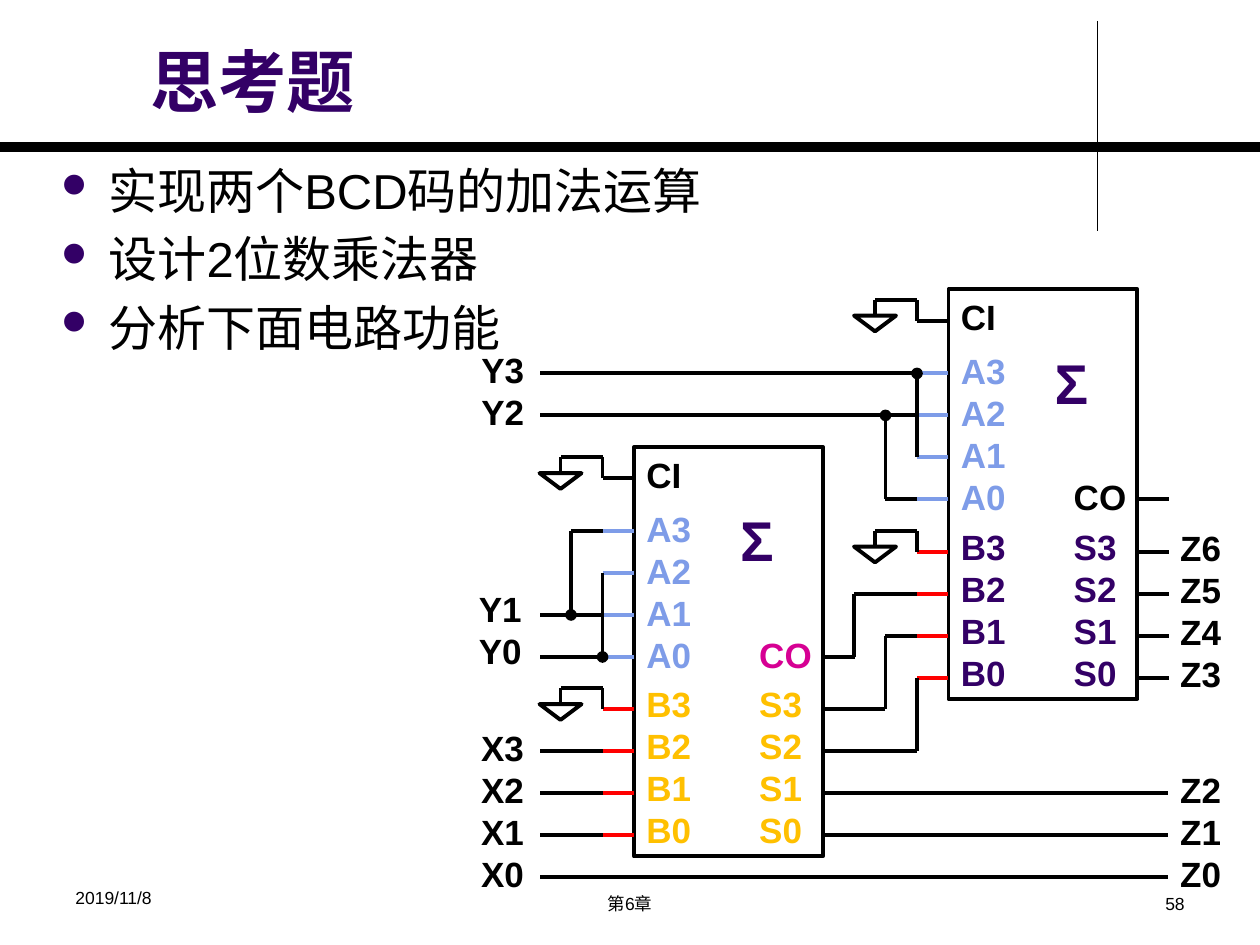
import dataclasses
import itertools

import pptx
import pptx.dml.color
import pptx.enum.shapes
import pptx.enum.text
import pptx.oxml
import pptx.oxml.ns
import pptx.util

Pt = pptx.util.Pt
ALIGN = pptx.enum.text.PP_ALIGN
ANCHOR = pptx.enum.text.MSO_ANCHOR
SHAPE = pptx.enum.shapes.MSO_SHAPE


@dataclasses.dataclass(frozen=True)
class Theme:
    font: str = "Arial"
    black: str = "000000"
    purple: str = "330066"
    blue: str = "7E9CE8"
    red: str = "FF0000"
    amber: str = "FFC000"
    magenta: str = "D60093"
    title: int = 39
    body: int = 28
    sigma: int = 32
    label: int = 20
    footer: int = 10
    wire: float = 2.25


THEME = Theme()


def rgb(value):
    return pptx.dml.color.RGBColor.from_string(value)


def add_xml(parent, tag, **attributes):
    element = pptx.oxml.parse_xml(f"<a:{tag} {pptx.oxml.ns.nsdecls('a')}/>")
    for name, value in attributes.items():
        element.set(name, str(value))
    parent.append(element)
    return element


def write_text(frame, lines, size, color=THEME.black, bold=False, wrap=True,
               align=ALIGN.LEFT, anchor=ANCHOR.TOP, pitch=None, before=None):
    """Each line is a string or a list of (text, color) spans."""
    frame.word_wrap = wrap
    frame.vertical_anchor = anchor
    for index, line in enumerate(lines):
        para = frame.paragraphs[0] if index == 0 else frame.add_paragraph()
        para.alignment = align
        if pitch:
            para.line_spacing = Pt(pitch)
        if before and before[index]:
            para.space_before = Pt(before[index])
        for text, span_color in ([(line, color)] if isinstance(line, str) else line):
            span = para.add_run()
            span.text = text
            span.font.name = THEME.font
            span.font.size = Pt(size)
            span.font.bold = bold
            span.font.color.rgb = rgb(span_color)
    return frame.paragraphs


class Page:
    def __init__(self, deck, theme):
        self.theme = theme
        self.slide = deck.slides.add_slide(deck.slide_layouts[5])

    def title(self, text, left, top, width, height):
        box = self.slide.shapes.title
        box.left, box.top, box.width, box.height = map(Pt, (left, top, width, height))
        write_text(box.text_frame, [text], size=self.theme.title, bold=True,
                   color=self.theme.purple, anchor=ANCHOR.BOTTOM)

    def text(self, lines, left, top, width, height, **style):
        box = self.slide.shapes.add_textbox(*map(Pt, (left, top, width, height)))
        return write_text(box.text_frame, lines, **style)

    def bullets(self, lines, left, top, width, height):
        for para in self.text(lines, left, top, width, height,
                              size=self.theme.body, before=[5.6] * len(lines)):
            props = para._p.get_or_add_pPr()
            props.set("marL", str(Pt(27)))
            props.set("indent", str(Pt(-27)))
            add_xml(add_xml(props, "buClr"), "srgbClr", val=self.theme.purple)
            add_xml(props, "buSzPct", val=70000)
            # In this symbol font the letter l is a round dot
            add_xml(props, "buFont", typeface="Wingdings", charset=2)
            add_xml(props, "buChar", char="l")

    def labels(self, lines, left, top):
        self.text(lines, left, top, 40, 24 * len(lines) + 7.2,
                  size=self.theme.label, bold=True, wrap=False, pitch=24)

    def outline(self, kind, left, top, width, height):
        shape = self.slide.shapes.add_shape(kind, *map(Pt, (left, top, width, height)))
        shape.shadow.inherit = False
        shape.fill.background()
        shape.line.color.rgb = rgb(self.theme.black)
        shape.line.width = Pt(self.theme.wire)
        return shape

    def wire(self, *points, color=THEME.black, width=THEME.wire, dot=False):
        """Joins the points with straight lines; dot marks the first point."""
        for index, (start, end) in enumerate(itertools.pairwise(points)):
            line = self.slide.shapes.add_connector(
                pptx.enum.shapes.MSO_CONNECTOR.STRAIGHT, *map(Pt, start + end))
            line.line.color.rgb = rgb(color)
            line.line.width = Pt(width)
            if dot and index == 0:
                add_xml(line.line._get_or_add_ln(), "headEnd", type="oval")
            add_xml(line._element.spPr, "effectLst")

    def ground(self, x, y):
        self.wire((x, y), (x, y - 12), (x - 24, y - 12), (x - 24, y - 3))
        symbol = self.outline(SHAPE.ISOSCELES_TRIANGLE, x - 36, y - 3, 24, 9)
        symbol._element.spPr.find(pptx.oxml.ns.qn("a:xfrm")).set("flipV", "1")

    def adder(self, left, top, sum_color, carry_color):
        """Four-bit adder; returns the height of each pin."""
        theme = self.theme
        offsets = {"CI": 18}
        offsets.update({f"A{bit}": 120 - 24 * bit for bit in range(4)})
        offsets.update({f"B{bit}": 222 - 24 * bit for bit in range(4)})
        pin_colors = {"C": theme.black, "A": theme.blue, "B": theme.red}
        rows = [[("CI", theme.black)]]
        rows += [[(f"A{bit}", theme.blue)] for bit in (3, 2, 1, 0)]
        rows[-1].append(("\tCO", carry_color))
        rows += [[(f"B{bit}\tS{bit}", sum_color)] for bit in (3, 2, 1, 0)]
        body = self.outline(SHAPE.RECTANGLE, left, top, 108, 234)
        body.text_frame.margin_right = 0
        paras = write_text(body.text_frame, rows, size=theme.label, bold=True,
                           pitch=24, before=[0, 7, 0, 0, 0, 4, 0, 0, 0])
        for para in paras:
            stops = add_xml(para._p.get_or_add_pPr(), "tabLst")
            add_xml(stops, "tab", pos=Pt(64.5), algn="l")
        self.text(["Σ"], left + 53.6, top + 30, 33, 45, size=theme.sigma,
                  color=theme.purple, bold=True, wrap=False)
        pins = {name: top + offset for name, offset in offsets.items()}
        for name, y in pins.items():
            self.wire((left, y), (left - 18, y), color=pin_colors[name[0]])
            if name in ("A0", "B0", "B1", "B2", "B3"):
                self.wire((left + 108, y), (left + 126, y))
        for name in ("CI", "B3"):
            self.ground(left - 18, pins[name])
        return pins


def main():
    deck = pptx.Presentation()
    deck.slide_width, deck.slide_height = Pt(720), Pt(540)
    page = Page(deck, THEME)

    # Rules, title and questions
    page.wire((627, 12), (627, 132), width=0.75)
    page.wire((0, 84), (720, 84), width=6)
    page.title("思考题", 78.8, 14.4, 543.6, 58.3)
    page.bullets(["实现两个BCD码的加法运算", "设计2位数乘法器", "分析下面电路功能"],
                 28, 88, 460, 153)

    # Footer
    page.text(["2019/11/8"], 36, 503.3, 168, 24, size=THEME.footer)
    page.text(["第6章"], 246, 507, 228, 21, size=THEME.footer, align=ALIGN.CENTER)
    page.text(["58"], 516, 507, 168, 21, size=THEME.footer, align=ALIGN.RIGHT)

    # Adders
    low = page.adder(362.3, 255.4, THEME.amber, THEME.magenta)
    high = page.adder(542, 165.4, THEME.purple, THEME.black)
    start, end = 308.7, 667.4
    low_in, low_out, high_in = 344.3, 488, 524

    # Signal names
    page.labels(["Y3", "Y2"], 268, 195.6)
    page.labels(["Y1", "Y0"], 266.5, 332)
    page.labels(["X3", "X2", "X1", "X0"], 267.8, 411.6)
    page.labels(["Z6", "Z5", "Z4", "Z3"], 667.3, 297.4)
    page.labels(["Z2", "Z1", "Z0"], 667.3, 435.6)

    # Y inputs, each feeding two pins
    for pins, inner, first, second in ((low, low_in, "A1", "A0"),
                                       (high, high_in, "A3", "A2")):
        for name in (first, second):
            page.wire((start, pins[name]), (inner, pins[name]))
    page.wire((low_in - 18, low["A1"]), (low_in - 18, low["A3"]),
              (low_in, low["A3"]), dot=True)
    page.wire((low_in, low["A0"]), (low_in, low["A2"]), dot=True)
    page.wire((high_in, high["A3"]), (high_in, high["A1"]), dot=True)
    page.wire((high_in - 18, high["A2"]), (high_in - 18, high["A0"]),
              (high_in, high["A0"]), dot=True)

    # X inputs and low product bits
    for name in ("B2", "B1", "B0"):
        page.wire((start, low[name]), (low_in, low[name]))
    for name in ("B1", "B0"):
        page.wire((low_out, low[name]), (end, low[name]))
    page.wire((start, low["B0"] + 24), (end, low["B0"] + 24))

    # Carry and sums into the high adder
    for step, (source, target) in enumerate((("A0", "B2"), ("B3", "B1"), ("B2", "B0"))):
        bend = low_out + 18 * step
        page.wire((low_out, low[source]), (bend, low[source]),
                  (bend, high[target]), (high_in, high[target]))

    deck.save("out.pptx")


if __name__ == "__main__":
    main()
